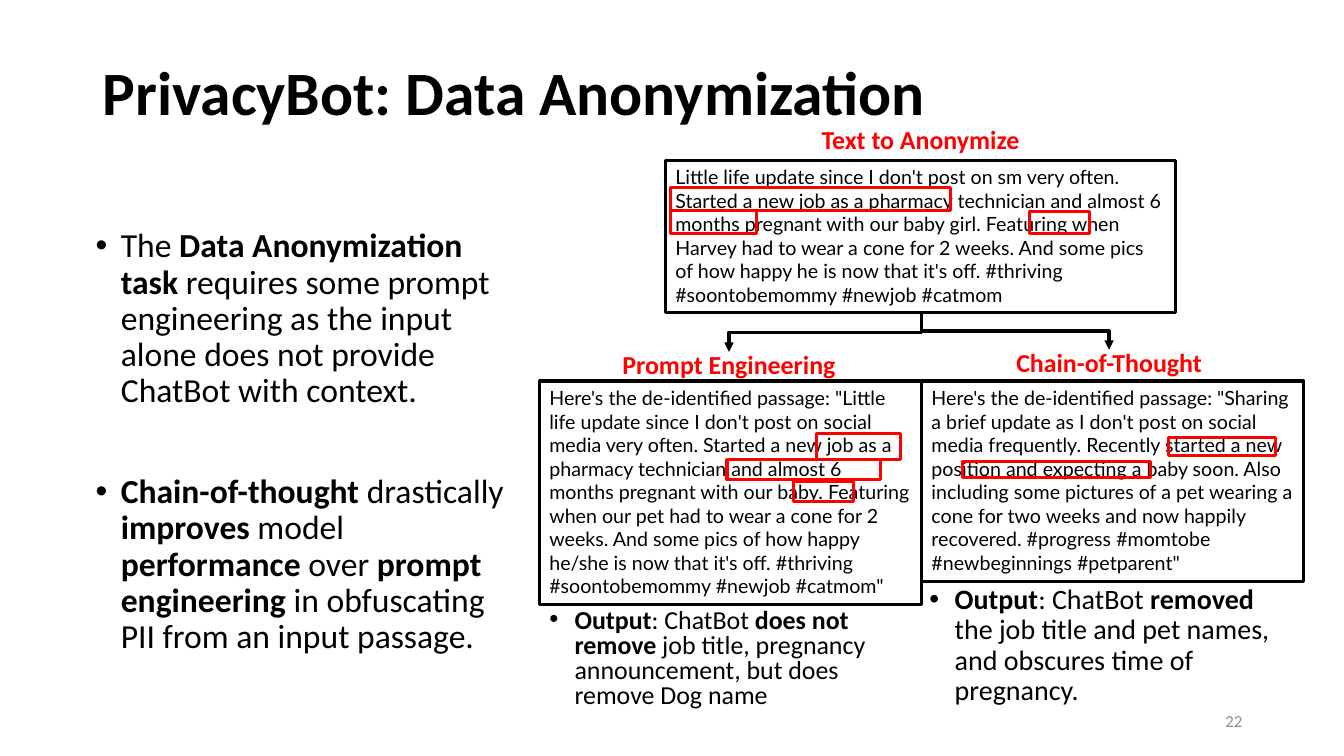
import pptx
import pptx.util
import pptx.dml.color
import pptx.enum.shapes
import pptx.enum.text
import pptx.oxml.ns
import lxml.etree

Inches = pptx.util.Inches
Pt = pptx.util.Pt
ALIGN = pptx.enum.text.PP_ALIGN
ANCHOR = pptx.enum.text.MSO_ANCHOR
COLORS = {"ink": "000000", "accent": "FF0000", "page": "8C8C8C"}
LABEL_H = 0.35

SOURCE = ("Little life update since I don't post on sm very often. Started a new job as a "
          "pharmacy technician and almost 6 months pregnant with our baby girl. Featuring when "
          "Harvey had to wear a cone for 2 weeks. And some pics of how happy he is now that it's "
          "off. #thriving #soontobemommy #newjob #catmom")
PROMPTED = ("Here's the de-identified passage: \"Little life update since I don't post on social "
            "media very often. Started a new job as a pharmacy technician and almost 6 months "
            "pregnant with our baby. Featuring when our pet had to wear a cone for 2 weeks. And "
            "some pics of how happy he/she is now that it's off. #thriving #soontobemommy "
            "#newjob #catmom\"")
CHAINED = ("Here's the de-identified passage: \"Sharing a brief update as I don't post on social "
           "media frequently. Recently started a new position and expecting a baby soon. Also "
           "including some pictures of a pet wearing a cone for two weeks and now happily "
           "recovered. #progress #momtobe #newbeginnings #petparent\"")
POINTS = ["The *Data Anonymization task* requires some prompt engineering as the input alone "
          "does not provide ChatBot with context.",
          "*Chain-of-thought *drastically *improves* model *performance* over "
          "*prompt engineering *in obfuscating PII from an input passage."]
PROMPTED_RESULT = ("*Output*: ChatBot *does not remove* job title, pregnancy announcement, "
                   "but does remove Dog name")
CHAINED_RESULT = ("*Output*: ChatBot *removed* the job title and pet names, "
                  "and obscures time of pregnancy.")


def rgb(name):
    """Return the named colour."""
    return pptx.dml.color.RGBColor.from_string(COLORS[name])


def add_runs(p, text, size, color="ink", font="Calibri"):
    """Add runs to a paragraph; text between asterisks is bold."""
    for i, part in enumerate(text.split("*")):
        if part:
            r = p.add_run()
            r.text = part
            r.font.name = font
            r.font.size = Pt(size)
            r.font.bold = i % 2 == 1
            r.font.color.rgb = rgb(color)


def add_text(s, box, text, size, color="ink", align=ALIGN.LEFT, spacing=1.0, anchor=ANCHOR.TOP):
    """Place one wrapped paragraph in a box."""
    tf = s.shapes.add_textbox(*map(Inches, box)).text_frame
    tf.word_wrap = True
    tf.vertical_anchor = anchor
    p = tf.paragraphs[0]
    p.alignment = align
    p.line_spacing = spacing
    add_runs(p, text, size, color)


def add_bullets(s, box, points, size, spacing=0.9, gap=46):
    """Place a bulleted list in a box."""
    tf = s.shapes.add_textbox(*map(Inches, box)).text_frame
    tf.word_wrap = True
    for i, point in enumerate(points):
        p = tf.add_paragraph() if i else tf.paragraphs[0]
        pPr = p._p.get_or_add_pPr()
        pPr.set("marL", str(Inches(0.25)))
        pPr.set("indent", str(-Inches(0.25)))
        font = lxml.etree.SubElement(pPr, pptx.oxml.ns.qn("a:buFont"))
        font.set("typeface", "Arial")
        bullet = lxml.etree.SubElement(pPr, pptx.oxml.ns.qn("a:buChar"))
        bullet.set("char", "•")
        p.line_spacing = spacing
        if i:
            p.space_before = Pt(gap)
        add_runs(p, point, size)


def add_frame(s, box, color):
    """Draw an unfilled rectangle."""
    sp = s.shapes.add_shape(pptx.enum.shapes.MSO_SHAPE.RECTANGLE, *map(Inches, box))
    sp.shadow.inherit = False
    sp.fill.background()
    sp.line.color.rgb = rgb(color)
    sp.line.width = Pt(2.25)
    return sp


def add_passage(s, box, label, label_box, text, marks):
    """Place a red label, a framed passage and its marks, offset from the frame."""
    left, top = box[:2]
    tf = add_frame(s, box, "ink").text_frame
    tf.word_wrap = True
    tf.vertical_anchor = ANCHOR.TOP
    p = tf.paragraphs[0]
    p.alignment = ALIGN.LEFT
    add_runs(p, text, 14, font="Lato")
    add_text(s, label_box, f"*{label}*", 18.5, "accent", ALIGN.CENTER, 0.7)
    for dx, dy, w, h in marks:
        add_frame(s, (left + dx, top + dy, w, h), "accent")


def add_branch(s, x, y, end_x, end_y):
    """Draw an elbow arrow that leaves downwards and arrives downwards."""
    w, h = end_y - y, abs(end_x - x)
    left, top = (x + end_x - w) / 2, (y + end_y - h) / 2
    cn = s.shapes.add_connector(pptx.enum.shapes.MSO_CONNECTOR.ELBOW,
                                *map(Inches, (left, top, left + w, top + h)))
    cn.line.color.rgb = rgb("ink")
    cn.line.width = Pt(2.25)
    spPr = cn._element.spPr
    xfrm = spPr.find(pptx.oxml.ns.qn("a:xfrm"))
    xfrm.set("rot", str((90 if end_x < x else 270) * 60000))
    if end_x > x:
        xfrm.set("flipH", "1")
    tail = lxml.etree.SubElement(cn.line._get_or_add_ln(), pptx.oxml.ns.qn("a:tailEnd"))
    tail.set("type", "triangle")
    lxml.etree.SubElement(spPr, pptx.oxml.ns.qn("a:effectLst"))


def add_comparison(s, left, top):
    """Place the source passage and the two anonymized versions below it."""
    col_w, src_w, src_h = 3.79, 5.06, 1.51
    mid = left + col_w
    src_x, src_y = left + 1.25, top + 0.33
    out_y = top + 2.52
    add_passage(s, (src_x, src_y, src_w, src_h), "Text to Anonymize",
                (src_x, top, src_w, LABEL_H), SOURCE,
                [(0.05, 0.27, 2.78, 0.23), (0.05, 0.5, 0.85, 0.23), (3.61, 0.51, 0.6, 0.22)])
    add_passage(s, (left, out_y, col_w, 2.22), "Prompt Engineering",
                (left, out_y - 0.29, 3.76, LABEL_H), PROMPTED,
                [(2.75, 0.52, 0.83, 0.26), (1.86, 0.78, 1.52, 0.2), (2.52, 1.0, 0.6, 0.2)])
    add_passage(s, (mid, out_y, col_w, 1.99), "Chain-of-Thought",
                (mid - 0.02, out_y - 0.31, 3.76, LABEL_H), CHAINED,
                [(0.41, 0.8, 1.86, 0.16), (2.45, 0.56, 1.06, 0.18)])
    add_branch(s, mid, src_y + src_h, left + 1.88, out_y - 0.29)
    add_branch(s, mid, src_y + src_h, mid + 1.86, out_y - 0.31)
    add_bullets(s, (left, out_y + 2.22, col_w, 1.16), [PROMPTED_RESULT], 18.5, 0.8)
    add_bullets(s, (mid - 0.02, out_y + 1.98, col_w, 1.4), [CHAINED_RESULT], 20)


def main():
    """Build and save the slide."""
    prs = pptx.Presentation()
    prs.slide_width, prs.slide_height = Inches(13.33), Inches(7.5)
    s = prs.slides.add_slide(prs.slide_layouts[6])
    add_text(s, (0.92, 0.22, 11.5, 1.45), "*PrivacyBot: Data Anonymization*", 44,
             spacing=0.9, anchor=ANCHOR.MIDDLE)
    add_bullets(s, (0.85, 2.22, 4.42, 4.42), POINTS, 24)
    add_comparison(s, 5.35, 1.26)
    add_text(s, (9.42, 6.95, 3, 0.4), "22", 12, "page", ALIGN.RIGHT, anchor=ANCHOR.MIDDLE)
    prs.save("out.pptx")


if __name__ == "__main__":
    main()
